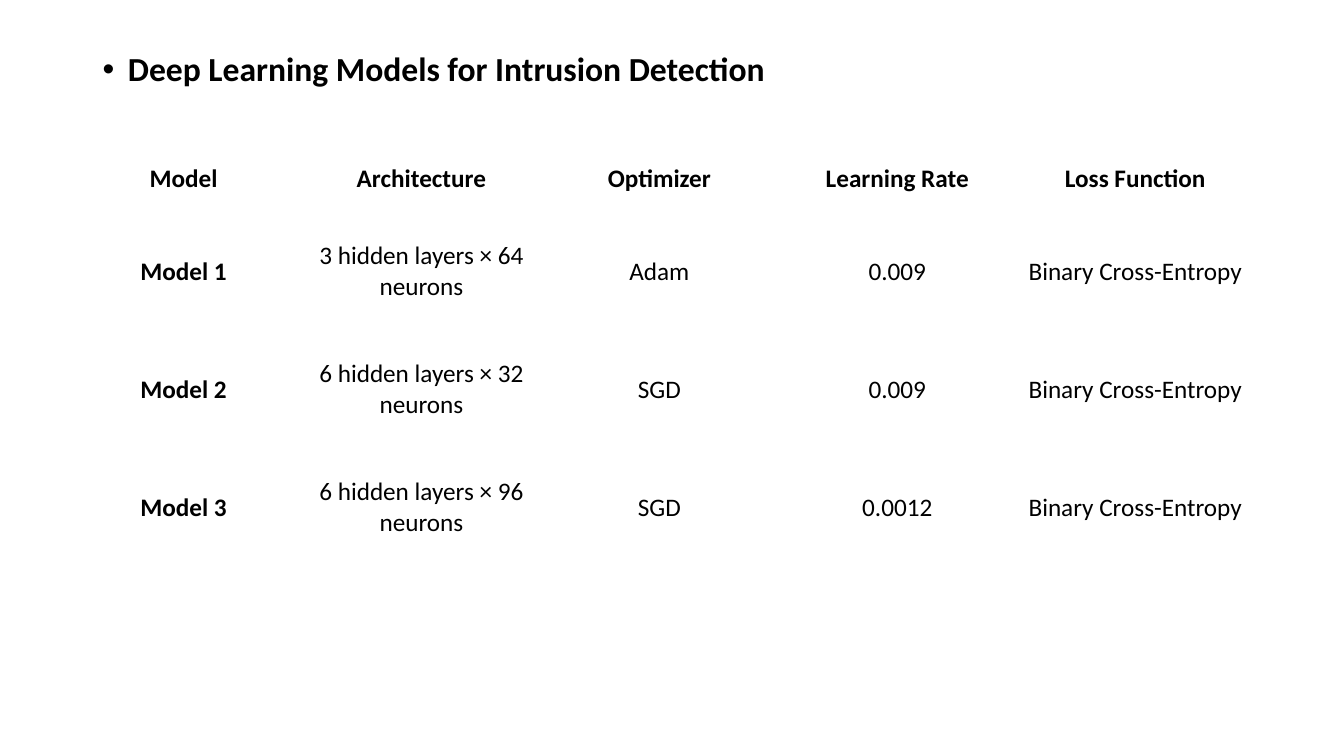
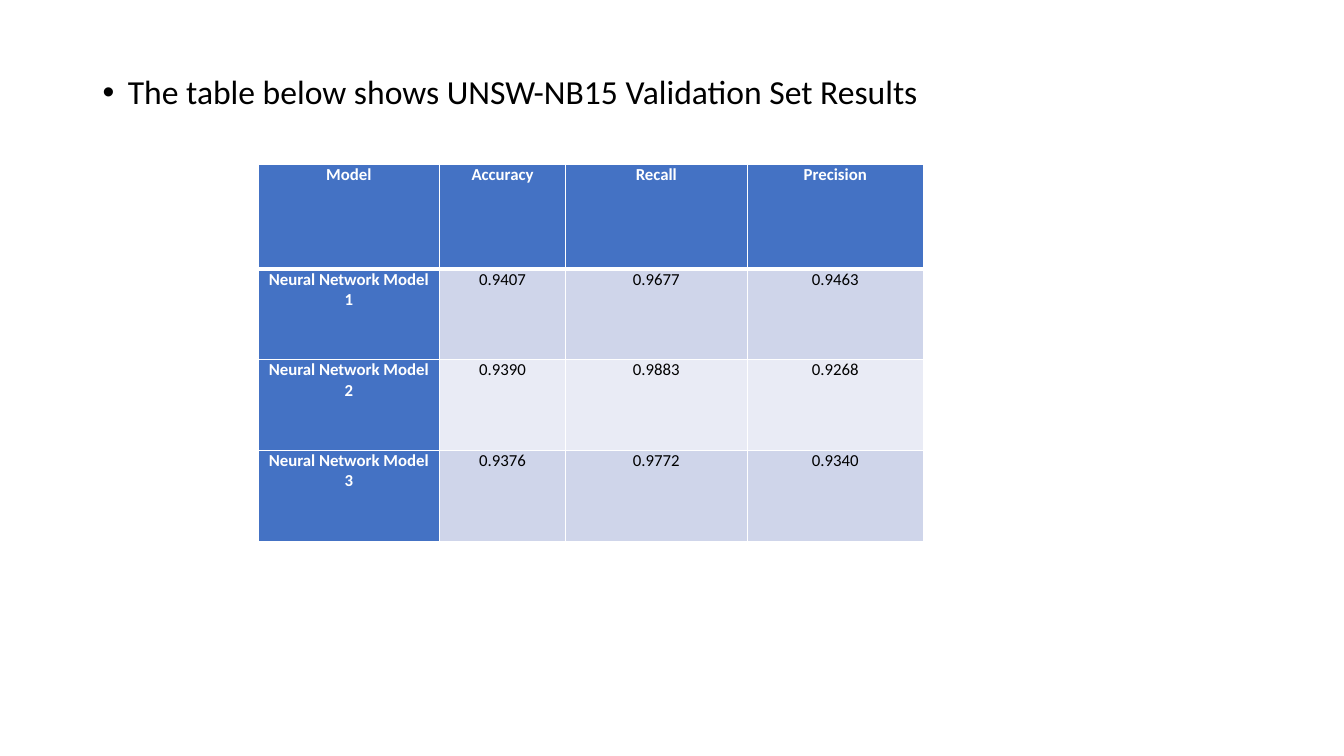
from dataclasses import dataclass

from lxml import etree
from pptx import Presentation
from pptx.dml.color import RGBColor
from pptx.enum.text import MSO_ANCHOR, PP_ALIGN
from pptx.oxml.ns import qn
from pptx.slide import Slide
from pptx.table import _Cell
from pptx.text.text import _Paragraph
from pptx.util import Emu, Pt

CENTER, LEFT = PP_ALIGN.CENTER, PP_ALIGN.LEFT
TOP, MIDDLE = MSO_ANCHOR.TOP, MSO_ANCHOR.MIDDLE

EMU_PER_PX = 9144  # 100 px to the inch
FONT = "Calibri"
BLACK, WHITE, BLUE = "000000", "FFFFFF", "4472C4"
BANDS = ("CFD5EA", "E9EBF5")
BLANK_LAYOUT = 6


def px(length: int) -> Emu:
    return Emu(length * EMU_PER_PX)


def color(value: str) -> RGBColor:
    return RGBColor.from_string(value)


@dataclass(frozen=True)
class Heading:
    text: str
    top: int
    bold: bool = False


@dataclass(frozen=True)
class TableStyle:
    """Look of a table; a filled one has blue headers, banded rows and white rules."""
    size: int
    anchor: MSO_ANCHOR
    margin_x: int
    margin_y: int
    filled: bool


@dataclass(frozen=True)
class TableData:
    left: int
    top: int
    columns: tuple[int, ...]
    rows: tuple[int, ...]
    values: tuple[tuple[str, ...], ...]
    style: TableStyle


PLAIN = TableStyle(size=18, anchor=MIDDLE, margin_x=10, margin_y=5, filled=False)
BANDED = TableStyle(size=12, anchor=TOP, margin_x=7, margin_y=0, filled=True)

SLIDES = (
    (
        Heading("Deep Learning Models for Intrusion Detection", top=47, bold=True),
        TableData(
            left=64, top=144, columns=(236,) * 5, rows=(67, 117, 117, 117),
            values=(
                ("Model", "Architecture", "Optimizer", "Learning Rate", "Loss Function"),
                ("Model 1", "3 hidden layers × 64 neurons", "Adam", "0.009",
                 "Binary Cross-Entropy"),
                ("Model 2", "6 hidden layers × 32 neurons", "SGD", "0.009",
                 "Binary Cross-Entropy"),
                ("Model 3", "6 hidden layers × 96 neurons", "SGD", "0.0012",
                 "Binary Cross-Entropy"),
            ),
            style=PLAIN,
        ),
    ),
    (
        Heading("The table below shows UNSW-NB15 Validation Set Results", top=70),
        TableData(
            left=256, top=163, columns=(180, 125, 180, 175), rows=(104, 90, 90, 90),
            values=(
                ("Model", "Accuracy", "Recall", "Precision"),
                ("Neural Network Model 1", "0.9407", "0.9677", "0.9463"),
                ("Neural Network Model 2", "0.9390", "0.9883", "0.9268"),
                ("Neural Network Model 3", "0.9376", "0.9772", "0.9340"),
            ),
            style=BANDED,
        ),
    ),
)


def write(paragraph: _Paragraph, text: str, size: int, bold: bool,
          text_color: str, alignment: PP_ALIGN) -> None:
    paragraph.text = text
    paragraph.alignment = alignment
    font = paragraph.font
    font.name, font.size, font.bold = FONT, Pt(size), bold
    font.color.rgb = color(text_color)


def add_bullet(paragraph: _Paragraph, indent: int) -> None:
    properties = paragraph._p.get_or_add_pPr()
    properties.set("marL", str(px(indent)))
    properties.set("indent", str(px(-indent)))
    bullet_font = etree.Element(qn("a:buFont"), typeface="Arial")
    bullet = etree.Element(qn("a:buChar"), char="•")
    default_run = properties.find(qn("a:defRPr"))
    default_run.addprevious(bullet_font)
    default_run.addprevious(bullet)


def add_heading(slide: Slide, heading: Heading) -> None:
    box = slide.shapes.add_textbox(px(92), px(heading.top), px(1150), px(50))
    box.text_frame.word_wrap = True
    paragraph = box.text_frame.paragraphs[0]
    write(paragraph, heading.text, 24, heading.bold, BLACK, LEFT)
    paragraph.line_spacing = 0.9
    add_bullet(paragraph, 25)


def add_borders(cell: _Cell, widths: dict[str, int]) -> None:
    """Draw white rules, with widths in points by side; call before filling the cell."""
    properties = cell._tc.get_or_add_tcPr()
    for side, width in widths.items():
        line = etree.SubElement(properties, qn(f"a:ln{side}"), w=str(Pt(width)))
        fill = etree.SubElement(line, qn("a:solidFill"))
        etree.SubElement(fill, qn("a:srgbClr"), val=WHITE)


def format_cell(cell: _Cell, row: int, column: int, style: TableStyle) -> None:
    is_header = row == 0 or column == 0
    cell.vertical_anchor = style.anchor
    cell.margin_left = cell.margin_right = px(style.margin_x)
    cell.margin_top = cell.margin_bottom = px(style.margin_y)
    if style.filled:
        add_borders(cell, {"L": 1, "R": 1, "T": 3 if row == 1 else 1,
                           "B": 3 if row == 0 else 1})
        cell.fill.solid()
        cell.fill.fore_color.rgb = color(BLUE if is_header else BANDS[(row - 1) % 2])
    else:
        cell.fill.background()
    text_color = WHITE if style.filled and is_header else BLACK
    write(cell.text_frame.paragraphs[0], cell.text, style.size, is_header,
          text_color, CENTER)


def add_data_table(slide: Slide, data: TableData) -> None:
    table = slide.shapes.add_table(
        len(data.rows), len(data.columns), px(data.left), px(data.top),
        px(sum(data.columns)), px(sum(data.rows))).table
    table.first_row = table.horz_banding = False
    for column, width in zip(table.columns, data.columns):
        column.width = px(width)
    for row, height in zip(table.rows, data.rows):
        row.height = px(height)
    for row_index, values in enumerate(data.values):
        for column_index, value in enumerate(values):
            cell = table.cell(row_index, column_index)
            cell.text = value
            format_cell(cell, row_index, column_index, data.style)


def main() -> None:
    presentation = Presentation()
    presentation.slide_width, presentation.slide_height = px(1333), px(750)
    for heading, data in SLIDES:
        slide = presentation.slides.add_slide(presentation.slide_layouts[BLANK_LAYOUT])
        add_heading(slide, heading)
        add_data_table(slide, data)
    presentation.save("out.pptx")


if __name__ == "__main__":
    main()
